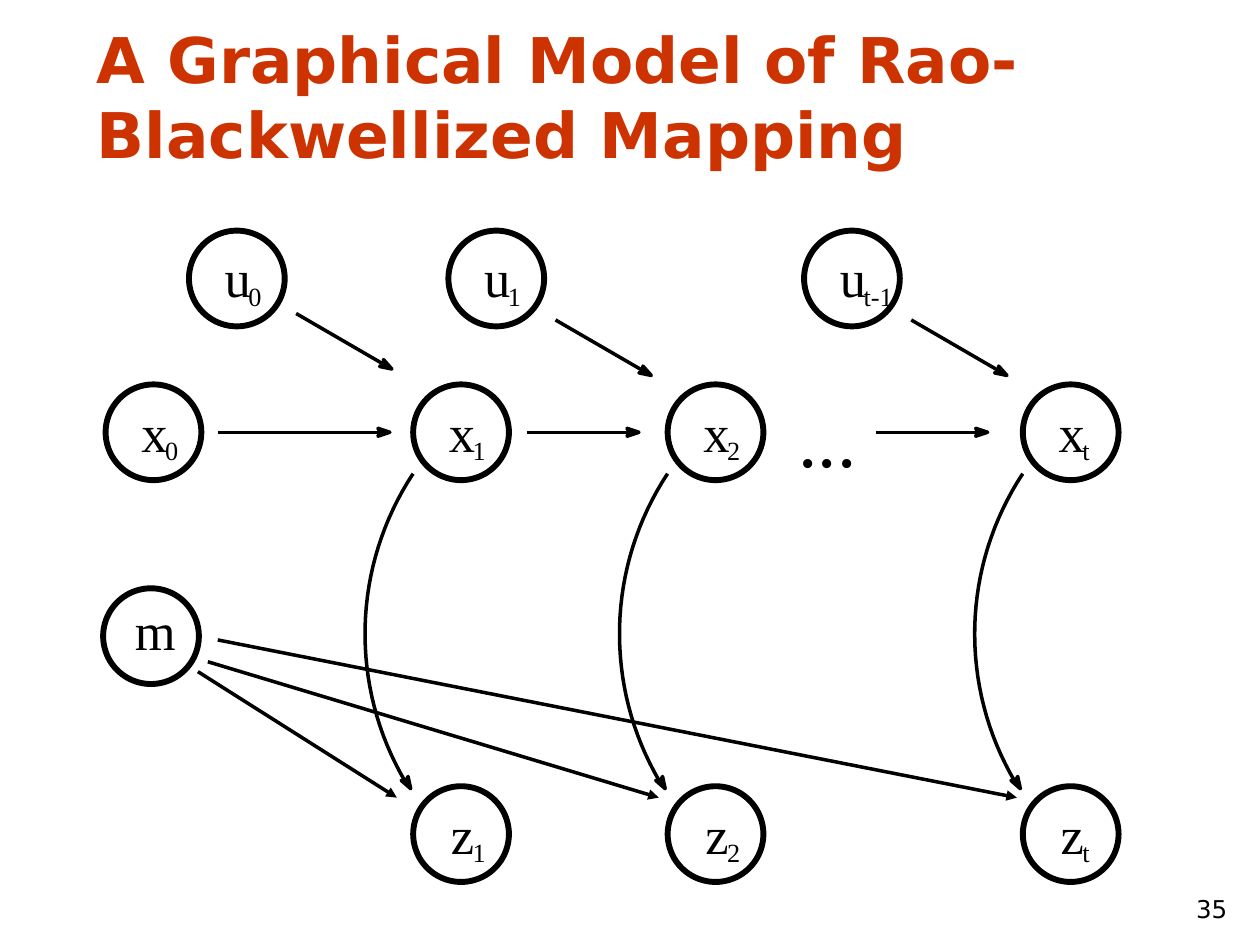
from math import asin, atan2, cos, hypot, sin

from lxml.etree import SubElement
from pptx import Presentation
from pptx.dml.color import RGBColor
from pptx.enum.shapes import MSO_CONNECTOR as Connector, MSO_SHAPE as Shape
from pptx.enum.text import MSO_ANCHOR as Anchor, MSO_AUTO_SIZE as AutoSize, PP_ALIGN as Align
from pptx.oxml.ns import qn
from pptx.util import Cm, Pt

COLORS = {"title": "CC3300", "ink": "000000"}
SANS, SERIF = "DejaVu Sans", "Times New Roman"
TITLE = "A Graphical Model of Rao-Blackwellized Mapping"
PAGE_NUMBER = "35"

DIAMETER = 1.93
ROWS = {"u": 4.65, "x": 7.75, "m": 11.86, "z": 15.85}
STEPS = {"1": 8.33, "2": 13.46, "t": 20.62}
CONTROLS = {"0": 3.81, "1": 9.04, "t-1": 16.21}
NODES = (
    [("m", "", 2.08), ("x", "0", 2.13)]
    + [("u", index, left) for index, left in CONTROLS.items()]
    + [(letter, index, left) for letter in "xz" for index, left in STEPS.items()]
)
LETTERS = {
    "u": (0.72, 0.29, 0.53),
    "x": (0.72, 0.31, 0.53),
    "z": (0.76, 0.31, 0.47),
    "m": (0.64, 0.2, 0.82),
}
INDEX_OFFSET = (1.2, 1)
INDEX_WIDTHS = {"0": 0.28, "1": 0.28, "2": 0.28, "t": 0.15, "t-1": 0.65}

STATE_ARROWS = [(4.39, 7.86), (10.62, 12.88), (17.65, 19.91)]
CONTROL_ARROW_TOPS = {"0": 6.32, "1": 6.45, "t-1": 6.45}
CONTROL_ARROW = (1.93, 1.12)
MAP_ARROWS = [((3.99, 13.54), (8, 16.08)), ((4.19, 13.34), (13.28, 16.08)), ((4.39, 12.9), (20.5, 16.08))]
HEAD = [(0, 0), (-0.24, 0.08), (-0.19, 0), (-0.24, -0.08)]
HEAD_GAP = 0.08
ARC = {"bulge": 0.97, "radius": 5.87, "middle": 12.78, "rise": 3.23, "drop": 2.97, "segments": 32}
ARC_TIP = (-0.05, 15.9)


def color(name):
    return RGBColor.from_string(COLORS[name])


def style_line(shape, width):
    shape.line.color.rgb = color("ink")
    shape.line.width = Pt(width)


def style_text(paragraph, font_name, size, color_name="ink", bold=False):
    font = paragraph.runs[0].font
    font.name, font.size, font.bold = font_name, Pt(size), bold
    font.color.rgb = color(color_name)


def add_label(slide, text, left, top, width, height, size):
    frame = slide.shapes.add_textbox(Cm(left), Cm(top), Cm(width), Cm(height)).text_frame
    frame.margin_left = frame.margin_right = frame.margin_top = frame.margin_bottom = 0
    frame.word_wrap = False
    frame.auto_size = AutoSize.SHAPE_TO_FIT_TEXT
    frame.text = text
    style_text(frame.paragraphs[0], SERIF, size)


def add_node(slide, letter, index, left):
    top = ROWS[letter]
    circle = slide.shapes.add_shape(Shape.OVAL, Cm(left), Cm(top), Cm(DIAMETER), Cm(DIAMETER))
    circle.shadow.inherit = False
    circle.fill.background()
    style_line(circle, 3.37)
    dx, dy, width = LETTERS[letter]
    add_label(slide, letter, left + dx, top + dy, width, 1.27, 30)
    if index:
        dx, dy = INDEX_OFFSET
        add_label(slide, index, left + dx, top + dy, INDEX_WIDTHS[index], 0.64, 15)


def add_line(slide, start, end, arrowhead=False):
    line = slide.shapes.add_connector(Connector.STRAIGHT, *(Cm(value) for value in start + end))
    style_line(line, 2)
    if arrowhead:
        SubElement(line.line._get_or_add_ln(), qn("a:tailEnd"), type="triangle")
    SubElement(line._element.spPr, qn("a:effectLst"))


def add_outline(slide, points, closed):
    (first, *rest) = [(Cm(x), Cm(y)) for x, y in points]
    builder = slide.shapes.build_freeform(*first, scale=1.0)
    builder.add_line_segments(rest, close=closed)
    shape = builder.convert_to_shape()
    shape.shadow.inherit = False
    style_line(shape, 2)
    if closed:
        shape.fill.solid()
        shape.fill.fore_color.rgb = color("ink")
    else:
        shape.fill.background()


def add_head(slide, tip, angle):
    points = [
        (tip[0] + x * cos(angle) - y * sin(angle), tip[1] + x * sin(angle) + y * cos(angle))
        for x, y in HEAD
    ]
    add_outline(slide, points, True)


def add_arrow(slide, start, tip):
    dx, dy = tip[0] - start[0], tip[1] - start[1]
    share = 1 - HEAD_GAP / hypot(dx, dy)
    add_line(slide, start, (start[0] + dx * share, start[1] + dy * share))
    add_head(slide, tip, atan2(dy, dx))


def add_arc(slide, left):
    radius, segments = ARC["radius"], ARC["segments"]
    center = left - ARC["bulge"] + radius
    first, last = -asin(ARC["rise"] / radius), asin(ARC["drop"] / radius)
    angles = [first + (last - first) * step / segments for step in range(segments + 1)]
    points = [(center - radius * cos(angle), ARC["middle"] + radius * sin(angle)) for angle in angles]
    add_outline(slide, points, False)
    add_head(slide, (left + ARC_TIP[0], ARC_TIP[1]), atan2(cos(last), sin(last)))


def add_title(slide):
    title = slide.shapes.title
    title.left, title.top, title.width, title.height = Cm(1.7), Cm(0.28), Cm(23.39), Cm(3.3)
    frame = title.text_frame
    frame.text = TITLE
    frame.word_wrap = True
    frame.vertical_anchor = Anchor.BOTTOM
    frame.auto_size = AutoSize.SHAPE_TO_FIT_TEXT
    frame.paragraphs[0].alignment = Align.LEFT
    style_text(frame.paragraphs[0], SANS, 36, "title", True)


def add_page_number(slide):
    frame = slide.shapes.add_textbox(Cm(23.29), Cm(17.48), Cm(1.7), Cm(1.27)).text_frame
    frame.word_wrap = True
    frame.vertical_anchor = Anchor.BOTTOM
    frame.text = PAGE_NUMBER
    frame.paragraphs[0].alignment = Align.RIGHT
    style_text(frame.paragraphs[0], SANS, 14)


def main():
    presentation = Presentation()
    presentation.slide_width, presentation.slide_height = Cm(25.4), Cm(19.05)
    slide = presentation.slides.add_slide(presentation.slide_layouts[5])
    add_title(slide)
    add_page_number(slide)
    for node in NODES:
        add_node(slide, *node)
    add_label(slide, "...", 16.1, 7.87, 1.17, 1.85, 44)
    middle = ROWS["x"] + DIAMETER / 2
    for start, tip in STATE_ARROWS:
        add_arrow(slide, (start, middle), (tip, middle))
    for index, top in CONTROL_ARROW_TOPS.items():
        start = (CONTROLS[index] + 2.16, top)
        add_arrow(slide, start, (start[0] + CONTROL_ARROW[0], top + CONTROL_ARROW[1]))
    for left in STEPS.values():
        add_arc(slide, left)
    for start, end in MAP_ARROWS:
        add_line(slide, start, end, arrowhead=True)
    presentation.save("out.pptx")


if __name__ == "__main__":
    main()
